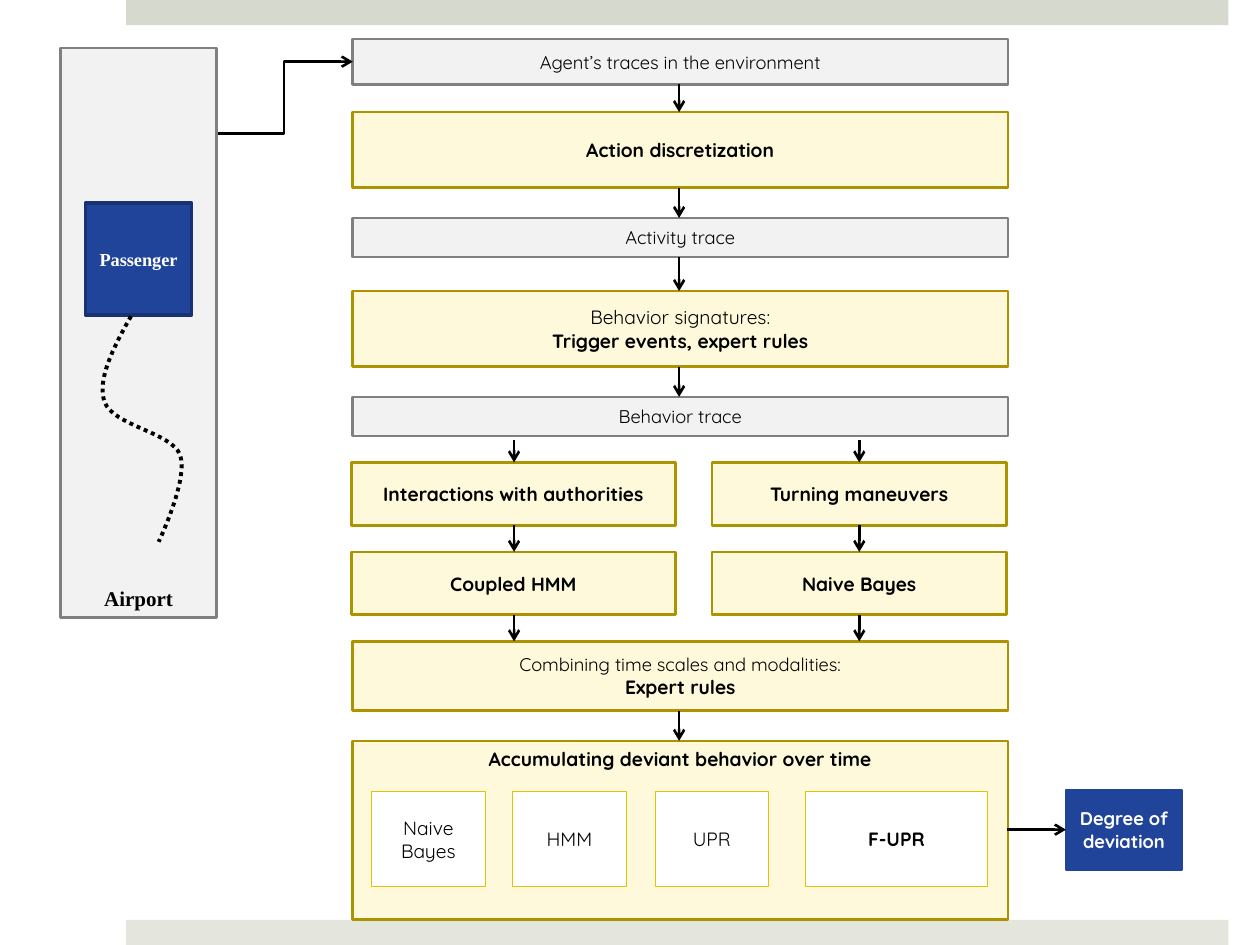
from dataclasses import dataclass

from pptx import Presentation
from pptx.dml.color import RGBColor
from pptx.enum import dml, shapes, text
from pptx.oxml import ns, xmlchemy
from pptx.util import Inches, Pt


@dataclass(frozen=True)
class Theme:
    sans: str = "Quicksand"
    serif: str = "Times New Roman"
    black: str = "000000"
    white: str = "FFFFFF"
    grey: str = "F2F2F2"
    edge: str = "808080"
    yellow: str = "FEE658"
    gold: str = "AB9301"
    lemon: str = "E4C402"
    blue: str = "21449B"
    navy: str = "183273"
    top: str = "D6D9CD"
    foot: str = "E4E6DE"
    small: float = 10.5
    body: float = 11
    label: float = 12


T = Theme()
rgb = RGBColor.from_string
MID = text.MSO_ANCHOR.MIDDLE

deck = Presentation()
deck.slide_width, deck.slide_height = Inches(10), Inches(7.5)
slide = deck.slides.add_slide(deck.slide_layouts[6])


def box(at, fill, edge=None, lines=(), width=1.5, font=T.sans, ink=T.black, anchor=MID):
    """Add a rectangle; lines holds (wording, size, bold) for each paragraph."""
    rect = slide.shapes.add_shape(shapes.MSO_SHAPE.RECTANGLE, *map(Inches, at))
    rect.shadow.inherit = False
    rect.fill.solid()
    rect.fill.fore_color.rgb = rgb(fill)
    if fill == T.yellow:
        tint = rect.fill._xPr.find(".//" + ns.qn("a:srgbClr"))
        alpha = xmlchemy.OxmlElement("a:alpha")
        alpha.set("val", "22000")
        tint.append(alpha)
    if edge:
        rect.line.color.rgb = rgb(edge)
        rect.line.width = Pt(width)
    else:
        rect.line.fill.background()
    frame = rect.text_frame
    frame.word_wrap = True
    frame.vertical_anchor = anchor
    for i, (words, size, bold) in enumerate(lines):
        para = frame.add_paragraph() if i else frame.paragraphs[0]
        para.text = words
        para.alignment = text.PP_ALIGN.CENTER
        para.font.name, para.font.size, para.font.bold = font, Pt(size), bold
        para.font.color.rgb = rgb(ink)


def arrow(x1, y1, x2, y2, kind=shapes.MSO_CONNECTOR.STRAIGHT):
    link = slide.shapes.add_connector(kind, *map(Inches, (x1, y1, x2, y2)))
    link.line.color.rgb = rgb(T.black)
    link.line.width = Pt(1.5)
    head = xmlchemy.OxmlElement("a:tailEnd")
    head.set("type", "arrow")
    link.line._get_or_add_ln().append(head)
    link._element.spPr.append(xmlchemy.OxmlElement("a:effectLst"))


# Bars at the top and foot
box((1, 0, 8.75, 0.2), T.top)
box((1, 7.3, 8.75, 0.2), T.foot)

# Main column: top, height, fill, edge, wording
left, wide, axis = 2.8, 5.2, 5.39
rows = [
    (0.31, 0.36, T.grey, T.edge, [("Agent’s traces in the environment", T.small, False)]),
    (0.89, 0.6, T.yellow, T.gold, [("Action discretization", T.body, True)]),
    (1.73, 0.31, T.grey, T.edge, [("Activity trace", T.small, False)]),
    (2.31, 0.6, T.yellow, T.gold, [("Behavior signatures:", T.body, False),
                                   ("Trigger events, expert rules", T.body, True)]),
    (3.15, 0.31, T.grey, T.edge, [("Behavior trace", T.small, False)]),
    (5.09, 0.55, T.yellow, T.gold, [("Combining time scales and modalities:", T.small, False),
                                    ("Expert rules", T.body, True)]),
]
for y, high, fill, edge, lines in rows:
    box((left, y, wide, high), fill, edge, lines)
box((left, 5.88, wide, 1.42), T.yellow, T.gold,
    [("Accumulating deviant behavior over time", T.body, True)],
    anchor=text.MSO_ANCHOR.TOP)

# Arrows down the main column
for start, end in [(0.67, 0.89), (1.49, 1.73), (2.04, 2.31), (2.91, 3.15), (5.64, 5.88)]:
    arrow(axis, start, axis, end)

# Two parallel branches
branches = [
    (2.79, 2.57, 4.08, ["Interactions with authorities", "Coupled HMM"]),
    (5.65, 2.34, 6.82, ["Turning maneuvers", "Naive Bayes"]),
]
for x, span, mid, names in branches:
    for y, name in zip((3.67, 4.38), names):
        box((x, y, span, 0.5), T.yellow, T.gold, [(name, T.body, True)])
    for start, end in [(3.49, 3.67), (4.17, 4.38), (4.88, 5.09)]:
        arrow(mid, start, mid, end)

# Ways to accumulate
models = [(2.95, 0.9, "Naive Bayes"), (4.07, 0.9, "HMM"), (5.2, 0.9, "UPR"), (6.39, 1.45, "F-UPR")]
for x, span, name in models:
    box((x, 6.28, span, 0.76), T.white, T.lemon, [(name, T.body, name == "F-UPR")], 0.5)

# Result
box((8.46, 6.27, 0.92, 0.63), T.blue, T.blue,
    [("Degree of deviation", T.small, True)], ink=T.white)
arrow(7.99, 6.585, 8.46, 6.585)

# Airport with a passenger
arrow(1.71, 1.06, 2.8, 0.49, shapes.MSO_CONNECTOR.ELBOW)
box((0.48, 0.38, 1.24, 4.52), T.grey, T.edge, [("Airport", T.label, True)],
    font=T.serif, anchor=text.MSO_ANCHOR.BOTTOM)
box((0.68, 1.61, 0.84, 0.89), T.blue, T.navy, [("Passenger", T.small, True)],
    2, T.serif, T.white)

# Dotted walking path, sampled along three Bezier curves
knots = [(1.04, 2.51), (0.9, 2.76), (0.77, 3.01), (0.83, 3.19), (0.9, 3.38),
         (1.36, 3.43), (1.43, 3.61), (1.5, 3.8), (1.26, 4.3), (1.26, 4.3)]
steps = 16
points = []
for k in range(0, 9, 3):
    for n in range(1, steps + 1):
        t = n / steps
        blend = ((1 - t) ** 3, 3 * t * (1 - t) ** 2, 3 * t * t * (1 - t), t ** 3)
        points.append([Inches(sum(b * p[axis_no] for b, p in zip(blend, knots[k:k + 4])))
                       for axis_no in (0, 1)])
pen = slide.shapes.build_freeform(*map(Inches, knots[0]))
pen.add_line_segments(points, close=False)
walk = pen.convert_to_shape()
walk.shadow.inherit = False
walk.fill.background()
walk.line.color.rgb = rgb(T.black)
walk.line.width = Pt(2.25)
walk.line.dash_style = dml.MSO_LINE.ROUND_DOT

deck.save("out.pptx")
